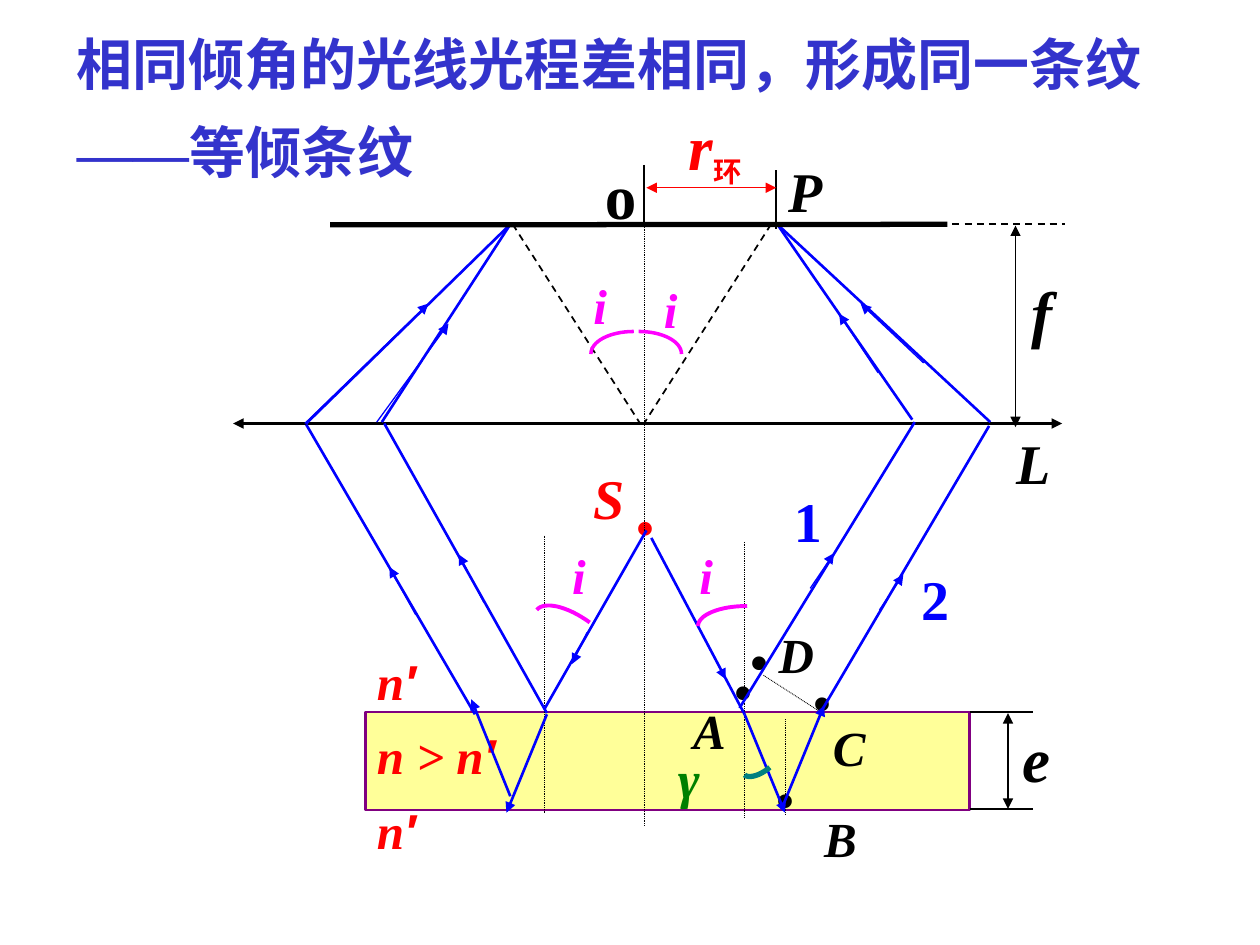
from pptx import Presentation
from pptx.dml.color import RGBColor
from pptx.enum.dml import MSO_LINE
from pptx.enum.shapes import MSO_CONNECTOR, MSO_SHAPE
from pptx.enum.text import MSO_ANCHOR, MSO_AUTO_SIZE, PP_ALIGN
from pptx.oxml.ns import qn
from pptx.util import Pt
from lxml import etree

DASH, DOT = MSO_LINE.DASH, MSO_LINE.ROUND_DOT
LEFT, JUSTIFY = PP_ALIGN.LEFT, PP_ALIGN.JUSTIFY


class Theme:
    black, red, blue = "000000", "FF0000", "0000FF"
    magenta, green, teal = "FF00FF", "008000", "008080"
    title, film, film_edge = "3333CC", "FFFF99", "800080"
    serif, sans, cjk = "Times New Roman", "Arial", "Noto Sans CJK SC"
    small, medium, large, huge = 28, 30, 32, 36
    dot, source_dot = 48, 66


def write(paragraph, text, color=Theme.black, size=Theme.small, font=Theme.serif,
          bold=True, italic=True, baseline=0):
    """Append a formatted run to the paragraph."""
    run = paragraph.add_run()
    run.text = text
    run.font.name = font
    run.font.size = Pt(size)
    run.font.bold = bold
    run.font.italic = italic
    run.font.color.rgb = RGBColor.from_string(color)
    properties = run.font._element
    etree.SubElement(properties, qn("a:ea")).set("typeface", font)
    if baseline:
        properties.set("baseline", str(baseline * 1000))


def add_line(start, end, color, width, dash=None, arrows=()):
    connector = slide.shapes.add_connector(
        MSO_CONNECTOR.STRAIGHT, *(Pt(value) for value in (*start, *end)))
    connector.line.color.rgb = RGBColor.from_string(color)
    connector.line.width = Pt(width)
    if dash:
        connector.line.dash_style = dash
    properties = connector.element.find(qn("p:spPr"))
    for arrow in arrows:
        etree.SubElement(properties.find(qn("a:ln")), qn(f"a:{arrow}")).set("type", "triangle")
    etree.SubElement(properties, qn("a:effectLst"))


presentation = Presentation()
presentation.slide_width, presentation.slide_height = Pt(720), Pt(540)
slide = presentation.slides.add_slide(presentation.slide_layouts[5])

# Title
title = slide.shapes.title
title.left, title.top, title.width, title.height = Pt(36.7), Pt(13), Pt(663), Pt(104.4)
frame = title.text_frame
frame.word_wrap = True
frame.auto_size = MSO_AUTO_SIZE.NONE
frame.vertical_anchor = MSO_ANCHOR.TOP
heading = dict(color=Theme.title, size=Theme.large, italic=False)
first, second = frame.paragraphs[0], frame.add_paragraph()
first.alignment = second.alignment = LEFT
second.space_before = Pt(12)
write(first, "相同倾角的光线光程差相同，形成同一条纹", font=Theme.cjk, **heading)
write(second, "——", **heading)
write(second, "等倾条纹", font=Theme.cjk, **heading)

# Film
film = slide.shapes.add_shape(MSO_SHAPE.RECTANGLE, Pt(209), Pt(406.8), Pt(345), Pt(56))
film.shadow.inherit = False
film.fill.solid()
film.fill.fore_color.rgb = RGBColor.from_string(Theme.film)
film.line.color.rgb = RGBColor.from_string(Theme.film_edge)
film.line.width = Pt(1.5)

# Labels and points: left, top, width, height, indent, runs
angle = [("i", dict(color=Theme.magenta))]
red = dict(color=Theme.red)
prime = ("′", dict(color=Theme.red, font=Theme.sans))
big = dict(size=Theme.large)
ray_number = dict(color=Theme.blue, size=Theme.large, italic=False)
point = [("·", dict(size=Theme.dot, italic=False))]
source = [("·", dict(color=Theme.red, size=Theme.source_dot, bold=False, italic=False))]
labels = [
    (580.3, 244.1, 40.3, 43.9, 0, [("L", big)]),
    (580.3, 155.5, 46.8, 47.5, 8.5, [("f", dict(size=Theme.huge))]),
    (450, 88.6, 34.6, 33.8, 0, [("P", big)]),
    (344.9, 88.6, 24.5, 39.6, 0, [("o", dict(size=Theme.huge, italic=False))]),
    (385.9, 60.5, 54.7, 61.2, 7, [
        ("r", dict(color=Theme.red, size=Theme.huge)),
        ("环", dict(color=Theme.red, font=Theme.cjk, italic=False, baseline=-25))]),
    (470.2, 461.5, 37.4, 32.4, 0, [("B", {})]),
    (576, 410.4, 31, 41, 7.5, [("e", dict(size=Theme.huge))]),
    (214.6, 371.5, 34.6, 33.8, 0, [("n", red), prime]),
    (214.6, 456.5, 42.5, 40.3, 0, [("n", red), prime]),
    (214.6, 414, 87.8, 29.5, 0, [("n > n", red), prime]),
    (386.6, 425.5, 42.5, 43.9, 0, [("γ", dict(color=Theme.green, size=Theme.medium))]),
    (395.3, 399.6, 30.2, 28.1, 0, [("A", {})]),
    (470.2, 409, 46.1, 29.5, 5, [("C", {})]),
    (444.2, 356.4, 34.6, 33.8, 0, [("D", {})]),
    (525.6, 321.8, 34.6, 31.7, 0, [("2", ray_number)]),
    (452.9, 277.2, 30.2, 28.1, 0, [("1", ray_number)]),
    (338.4, 264.2, 37.4, 43.2, 0, [("S", dict(color=Theme.red, size=Theme.large))]),
    (398.9, 311, 30.2, 35.3, 0, angle),
    (326.2, 311, 30.2, 35.3, 0, angle),
    (378.7, 159.1, 25.9, 31, 0, angle),
    (338.4, 157, 25.9, 31, 0, angle),
    (416.2, 363.6, 27.4, 51.8, 0, point),
    (425.5, 346.3, 38.9, 40.3, 0, point),
    (439.9, 425.5, 40.3, 61.9, 0, point),
    (461.5, 370.1, 27.4, 47.5, 0, point),
    (348.5, 257.8, 68.4, 40.3, 8.5, source),
]
for left, top, width, height, indent, runs in labels:
    box = slide.shapes.add_textbox(Pt(left), Pt(top), Pt(width), Pt(height))
    frame = box.text_frame
    frame.word_wrap = True
    frame.margin_left = Pt(0.7 + indent)
    frame.margin_top = frame.margin_right = frame.margin_bottom = Pt(0.7)
    frame.paragraphs[0].alignment = JUSTIFY
    for text, text_format in runs:
        write(frame.paragraphs[0], text, **text_format)

# Lines, grouped by their look
both = ("headEnd", "tailEnd")
forward = ("tailEnd",)
line_groups = [
    (dict(color=Theme.black, width=0.5, dash=DOT), [  # normals and path-difference foot
        ((425.5, 309.6), (425.5, 467.3)), ((448.6, 411.1), (448.6, 465.8)),
        ((436.3, 385.9), (470.9, 408.2)), ((311, 306), (311, 464.4)),
        ((368, 129.6), (368, 471.6))]),
    (dict(color=Theme.black, width=1, dash=DASH), [
        ((544.3, 128.2), (608.4, 128.2)), ((440.6, 128.2), (368, 242)),
        ((293, 128.2), (365.8, 242))]),
    (dict(color=Theme.black, width=1), [
        ((554.4, 406.8), (590.4, 406.8)), ((554.4, 462.2), (590.4, 462.2)),
        ((443.5, 97.2), (443.5, 131)), ((368, 94.3), (368, 128.2))]),
    (dict(color=Theme.black, width=0.75, arrows=both), [
        ((580.3, 128.9), (580.3, 244.1)), ((576, 407.5), (576, 462.2))]),
    (dict(color=Theme.red, width=0.75, arrows=both), [((369.4, 107.3), (443.5, 107.3))]),
    (dict(color=Theme.black, width=2, arrows=both), [((133.2, 242), (607, 242))]),
    (dict(color=Theme.blue, width=1.5), [  # rays outside the film
        ((444.2, 128.2), (521.3, 239.8)), ((291.6, 128.2), (218.2, 241.2)),
        ((444.2, 128.2), (565.9, 241.2)), ((291.6, 128.2), (175, 242)),
        ((175, 242.6), (271.4, 408.2)), ((565.2, 243.4), (468.7, 407.5)),
        ((522.7, 241.2), (422.6, 404.6)), ((219.6, 242), (312.5, 407.5)),
        ((372.2, 307.4), (425.5, 408.2)), ((369.4, 303.1), (311, 405.4))]),
    (dict(color=Theme.blue, width=0.75, arrows=forward), [  # direction marks
        ((501.8, 213.1), (479.5, 179.3)), ((215.3, 241.2), (256.3, 185)),
        ((527.8, 207.4), (491.8, 173.5)), ((174.2, 242), (244.8, 173.5)),
        ((237.6, 351.4), (222.5, 324)), ((502.6, 348.5), (516.2, 328.3)),
        ((463, 336.2), (476.6, 316.1)), ((276.5, 344.2), (262.1, 316.8)),
        ((403.2, 365.8), (414.7, 388.1)), ((335.5, 361.4), (326.9, 379.4))]),
    (dict(color=Theme.blue, width=1.5, arrows=forward), [  # rays inside the film
        ((447.8, 459.4), (470.9, 403.2)), ((291.6, 455), (269.3, 399.6)),
        ((425.5, 408.2), (448.6, 464.4)), ((312.5, 408.2), (289.4, 464.4))]),
    (dict(color=Theme.black, width=3), [((188.6, 128.5), (541.4, 128.2))]),
]
for line_format, segments in line_groups:
    for start, end in segments:
        add_line(start, end, **line_format)

# Angle arcs: four Bezier control points, sampled evenly
arcs = [
    (Theme.magenta, 2.25, [(427, 346.3), (411.1, 346.3), (398.9, 351.4), (398.9, 357.8)]),
    (Theme.magenta, 2.25, [(337, 355.7), (324, 346.3), (311, 343.4), (306.7, 348.5)]),
    (Theme.magenta, 2, [(365, 189.4), (378.7, 189.4), (389.5, 195.1), (389.5, 202.3)]),
    (Theme.magenta, 2, [(362.2, 189.4), (348.5, 189.4), (337.7, 195.1), (337.7, 202.3)]),
    (Theme.teal, 3, [(439.9, 438.5), (434.2, 443.5), (427.7, 445), (425.5, 442.8)]),
]
STEPS = 16
for color, width, controls in arcs:
    curve = []
    for step in range(STEPS + 1):
        t = step / STEPS
        weights = ((1 - t) ** 3, 3 * t * (1 - t) ** 2, 3 * t ** 2 * (1 - t), t ** 3)
        curve.append([Pt(sum(w * value for w, value in zip(weights, axis)))
                      for axis in zip(*controls)])
    builder = slide.shapes.build_freeform(*curve[0])
    builder.add_line_segments(curve[1:], close=False)
    arc = builder.convert_to_shape()
    arc.shadow.inherit = False
    arc.fill.background()
    arc.line.color.rgb = RGBColor.from_string(color)
    arc.line.width = Pt(width)

presentation.save("out.pptx")
